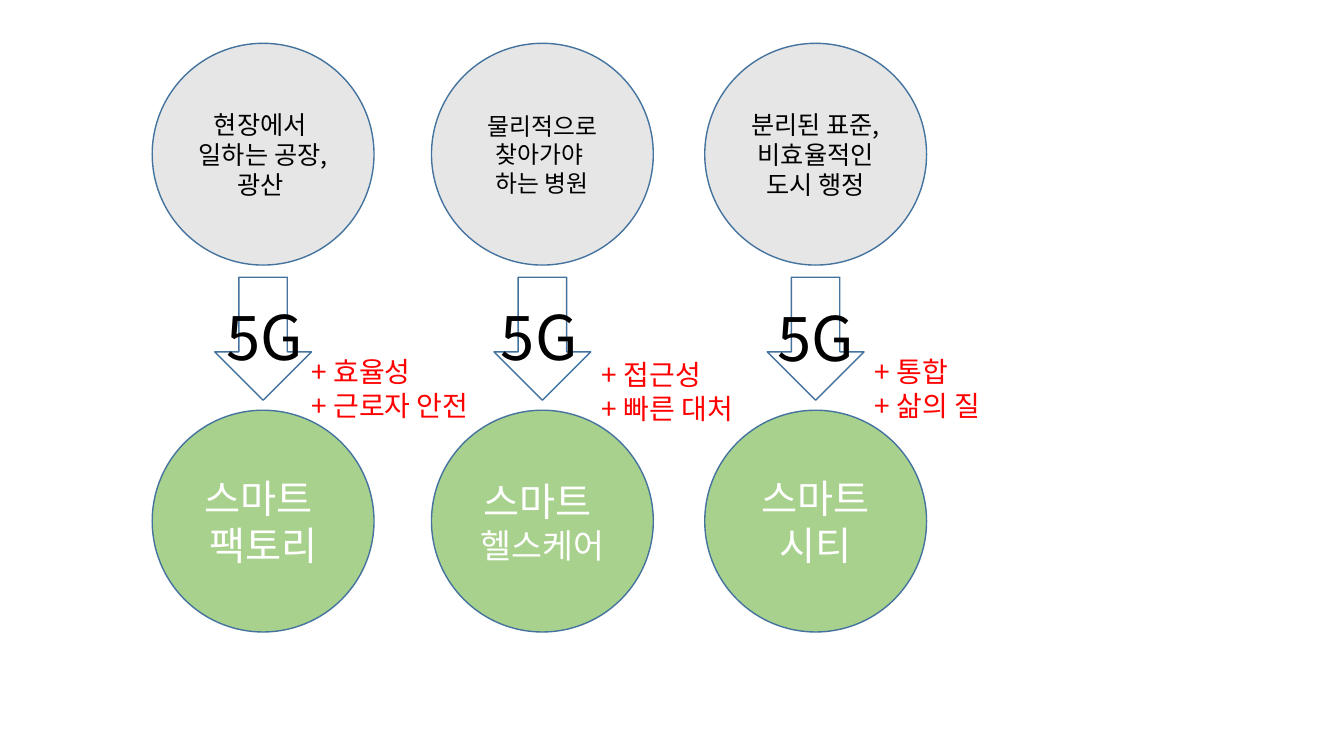
"""Build the slide showing how 5G turns three fields into smart ones."""
from lxml.etree import SubElement
from pptx import Presentation
from pptx.dml.color import RGBColor
from pptx.enum.shapes import MSO_SHAPE
from pptx.enum.text import MSO_ANCHOR, PP_ALIGN
from pptx.oxml.ns import qn
from pptx.util import Inches, Pt

FONT = "Noto Sans CJK KR"
COLORS = {"before": "E7E6E6", "after": "A9D18E", "outline": "43739E",
          "white": "FFFFFF", "black": "000000", "benefit": "FF0000"}

prs = Presentation()
prs.slide_width, prs.slide_height = Inches(13.33), Inches(7.5)
s = prs.slides.add_slide(prs.slide_layouts[6])


def add_shape(kind, x, y, w, h, fill):
    sp = s.shapes.add_shape(kind, Inches(x), Inches(y), Inches(w), Inches(h))
    sp.shadow.inherit = False
    sp.fill.solid()
    sp.fill.fore_color.rgb = RGBColor.from_string(COLORS[fill])
    sp.line.color.rgb = RGBColor.from_string(COLORS["outline"])
    sp.line.width = Pt(1)
    return sp


def write(sp, lines, color, align=PP_ALIGN.LEFT, anchor=MSO_ANCHOR.TOP):
    tf = sp.text_frame
    tf.word_wrap = True
    tf.vertical_anchor = anchor
    for i, (text, size) in enumerate(lines):
        p = tf.paragraphs[0] if i == 0 else tf.add_paragraph()
        p.text = text
        p.alignment = align
        p.font.size = Pt(size)
        p.font.name = FONT
        p.font.color.rgb = RGBColor.from_string(COLORS[color])
        SubElement(p._p.pPr.find(qn("a:defRPr")), qn("a:ea"), typeface=FONT)


D, ARROW_W = 2.2, 0.96
columns = [
    (1.51, [("현장에서 ", 18), ("일하는 공장, 광산 ", 18)],
     [("스마트 ", 28), ("팩토리", 28)],
     (2.15, 2.92), (2.99, 3.47), ["+ 효율성", "+ 근로자 안전"]),
    (4.28, [("물리적으로 찾아가야 ", 17), ("하는 병원", 17)],
     [("스마트 ", 28), ("헬스케어", 24)],
     (4.87, 2.92), (5.87, 3.5), ["+ 접근성", "+ 빠른 대처"]),
    (6.99, [("분리된 표준, 비효율적인 도시 행정", 18)],
     [("스마트 시티", 28)],
     (7.61, 2.93), (8.58, 3.47), ["+ 통합", "+ 삶의 질"]),
]

for x, before, after, label_at, benefit_at, benefits in columns:
    for y, lines, fill, color in [(0.43, before, "before", "black"),
                                  (4.07, after, "after", "white")]:
        circle = add_shape(MSO_SHAPE.OVAL, x, y, D, D, fill)
        write(circle, lines, color, PP_ALIGN.CENTER, MSO_ANCHOR.MIDDLE)
    add_shape(MSO_SHAPE.DOWN_ARROW, x + (D - ARROW_W) / 2, 2.75, ARROW_W, 1.22, "white")
    for (left, top), w, h, lines, color in [
            (label_at, 0.97, 0.84, [("5G", 44)], "black"),
            (benefit_at, 2.36, 0.77, [(b, 20) for b in benefits], "benefit")]:
        box = s.shapes.add_textbox(Inches(left), Inches(top), Inches(w), Inches(h))
        write(box, lines, color)

prs.save("out.pptx")
